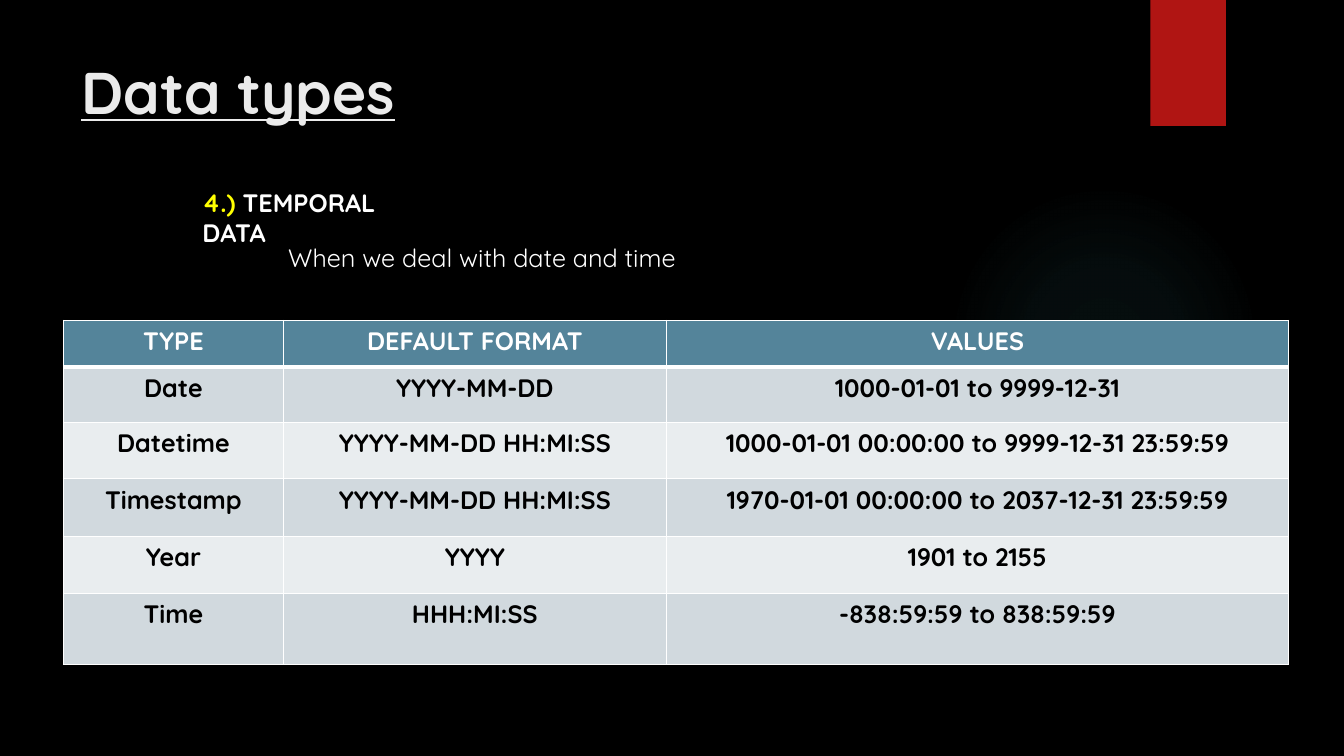
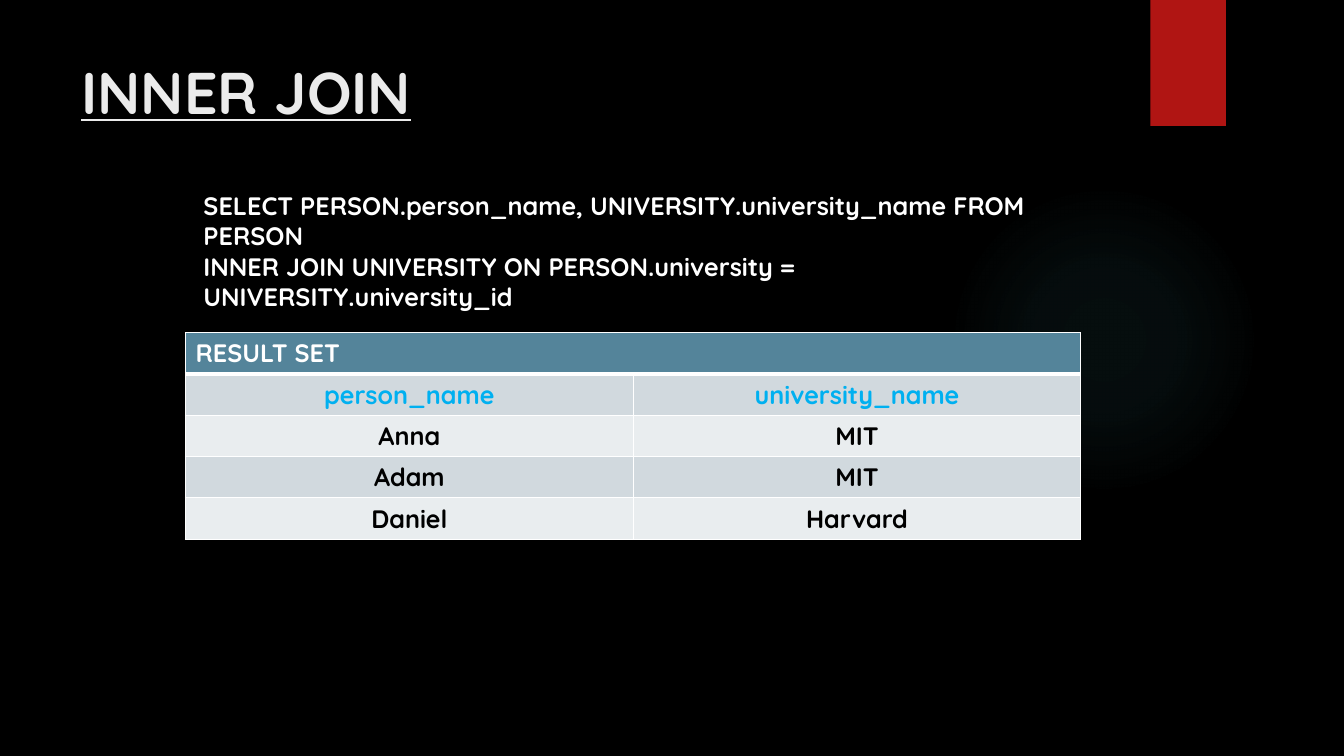
from dataclasses import dataclass

from lxml.etree import SubElement
from pptx import Presentation
from pptx.dml.color import RGBColor as Rgb
from pptx.enum.shapes import MSO_SHAPE as Shape
from pptx.enum.text import PP_ALIGN as Align
from pptx.oxml import parse_xml
from pptx.oxml.ns import nsdecls, qn
from pptx.util import Inches as In, Pt


@dataclass(frozen=True)
class Theme:
    font: str = "Quicksand"
    title: int = 42
    body: int = 18
    back: str = "000000"
    head: str = "EBEBEB"
    tab: str = "B01513"
    glow: str = "50B9C1"
    mark: str = "FFFF00"
    white: str = "FFFFFF"
    ink: str = "000000"
    field: str = "00B0F0"
    band: str = "54849A"
    rows: tuple = ("D1D9DE", "E9EDEF")


T = Theme()
GLOW = [(0, 7), (36, 6), (69, 0)]  # stop and opacity, in percent

# A line is a list of (text, colour, bold) runs.
TYPES = {
    "title": "Data types",
    "notes": [
        ((1.91, 1.81, 2.5, 0.4),
         [[("4.) ", T.mark, True), ("TEMPORAL DATA", T.white, True)]]),
        ((2.76, 2.36, 4.41, 0.4),
         [[("When we deal with date and time", T.white, False)]]),
    ],
    "at": (0.63, 3.18),
    "cols": [2.18, 3.8, 6.17],
    "rows": [0.46, 0.55, 0.56, 0.57, 0.57, 0.7],
    "cells": [
        ("TYPE", "DEFAULT FORMAT", "VALUES"),
        ("Date", "YYYY-MM-DD", "1000-01-01 to 9999-12-31"),
        ("Datetime", "YYYY-MM-DD HH:MI:SS",
         "1000-01-01 00:00:00 to 9999-12-31 23:59:59"),
        ("Timestamp", "YYYY-MM-DD HH:MI:SS",
         "1970-01-01 00:00:00 to 2037-12-31 23:59:59"),
        ("Year", "YYYY", "1901 to 2155"),
        ("Time", "HHH:MI:SS", "-838:59:59 to 838:59:59"),
    ],
}
JOIN = {
    "title": "INNER JOIN",
    "notes": [
        ((1.92, 1.84, 9.1, 0.71),
         [[("SELECT PERSON.person_name, UNIVERSITY.university_name "
            "FROM PERSON", T.white, True)],
          [("INNER JOIN UNIVERSITY ON PERSON.university = "
            "UNIVERSITY.university_id", T.white, True)]]),
    ],
    "at": (1.84, 3.3),
    "cols": [4.44] * 2,
    "rows": [0.41] * 5,
    "cells": [
        ("RESULT SET",),
        ("person_name", "university_name"),
        ("Anna", "MIT"),
        ("Adam", "MIT"),
        ("Daniel", "Harvard"),
    ],
    "fields": 1,
}


def style(run, color, bold=True, size=T.body):
    font = run.font
    font.name, font.size, font.bold = T.font, Pt(size), bold
    font.color.rgb = Rgb.from_string(color)


def add_form(slide, kind, box, color):
    form = slide.shapes.add_shape(kind, *map(In, box))
    form.shadow.inherit = False
    form.fill.solid()
    form.fill.fore_color.rgb = Rgb.from_string(color)
    form.line.fill.background()
    return form


def add_glow(slide):
    form = add_form(slide, Shape.OVAL, (9.41, 1.83, 3.08, 3.08), T.glow)
    stops = "".join(
        f'<a:gs pos="{pos * 1000}"><a:srgbClr val="{T.glow}">'
        f'<a:alpha val="{alpha * 1000}"/></a:srgbClr></a:gs>'
        for pos, alpha in GLOW)
    grad = parse_xml(
        f'<a:gradFill {nsdecls("a")}><a:gsLst>{stops}</a:gsLst>'
        '<a:path path="circle"><a:fillToRect l="50000" t="50000" '
        'r="50000" b="50000"/></a:path></a:gradFill>')
    solid = form.fill._xPr.find(qn("a:solidFill"))
    solid.getparent().replace(solid, grad)


def add_text(slide, box, lines, size=T.body, under=False):
    frame = slide.shapes.add_textbox(*map(In, box)).text_frame
    frame.word_wrap = True
    for i, line in enumerate(lines):
        para = frame.add_paragraph() if i else frame.paragraphs[0]
        for text, color, bold in line:
            run = para.add_run()
            run.text = text
            style(run, color, bold, size)
            run.font.underline = under


def edge(cell, row):
    """Draw white cell borders, with a thick rule below the header."""
    props = cell._tc.get_or_add_tcPr()
    thick = {0: "B", 1: "T"}.get(row)
    for i, side in enumerate("LRTB"):
        line = props.makeelement(
            qn(f"a:ln{side}"), {"w": str(Pt(3 if side == thick else 1))})
        fill = SubElement(line, qn("a:solidFill"))
        SubElement(fill, qn("a:srgbClr"), val=T.white)
        props.insert(i, line)


def add_grid(slide, data):
    cols, rows = data["cols"], data["rows"]
    box = (*data["at"], sum(cols), sum(rows))
    grid = slide.shapes.add_table(
        len(rows), len(cols), *map(In, box)).table
    for col, width in zip(grid.columns, cols):
        col.width = In(width)
    for r, (high, texts) in enumerate(zip(rows, data["cells"])):
        grid.rows[r].height = In(high)
        ink = T.white if r == 0 else T.ink
        if r == data.get("fields"):
            ink = T.field
        for c in range(len(cols)):
            cell = grid.cell(r, c)
            cell.fill.solid()
            cell.fill.fore_color.rgb = Rgb.from_string(
                T.rows[(r - 1) % 2] if r else T.band)
            edge(cell, r)
            if c < len(texts):
                cell.text_frame.text = texts[c]
                para = cell.text_frame.paragraphs[0]
                para.alignment = Align.CENTER if len(texts) > 1 else Align.LEFT
                style(para.runs[0], ink)
        if len(texts) < len(cols):
            grid.cell(r, 0).merge(grid.cell(r, len(cols) - 1))


def add_page(deck, data):
    slide = deck.slides.add_slide(deck.slide_layouts[6])
    add_glow(slide)
    add_form(slide, Shape.RECTANGLE, (11.41, 0, 0.75, 1.25), T.tab)
    add_text(slide, (0.71, 0.5, 10.29, 1),
             [[(data["title"], T.head, True)]], T.title, True)
    for box, lines in data["notes"]:
        add_text(slide, box, lines)
    add_grid(slide, data)


def main():
    deck = Presentation()
    deck.slide_width, deck.slide_height = In(13.33), In(7.5)
    fill = deck.slide_master.background.fill
    fill.solid()
    fill.fore_color.rgb = Rgb.from_string(T.back)
    for data in (TYPES, JOIN):
        add_page(deck, data)
    deck.save("out.pptx")


if __name__ == "__main__":
    main()
